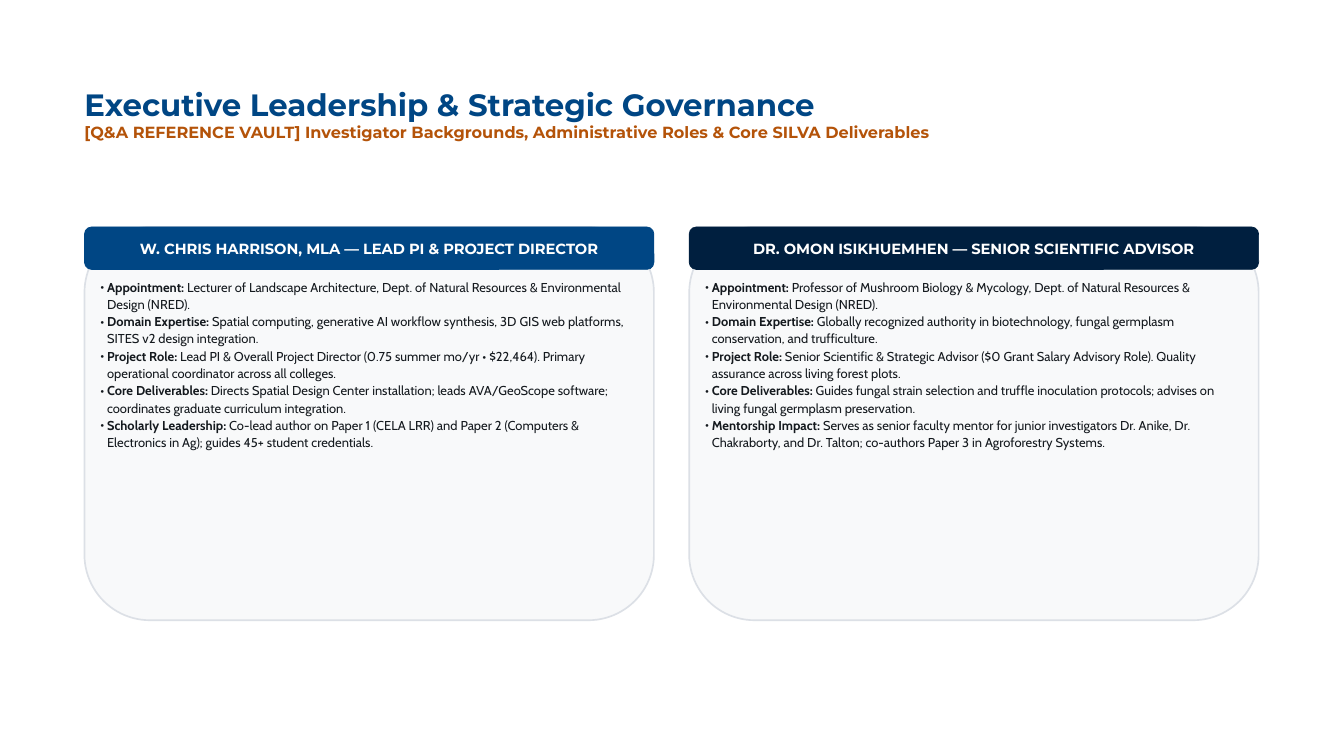
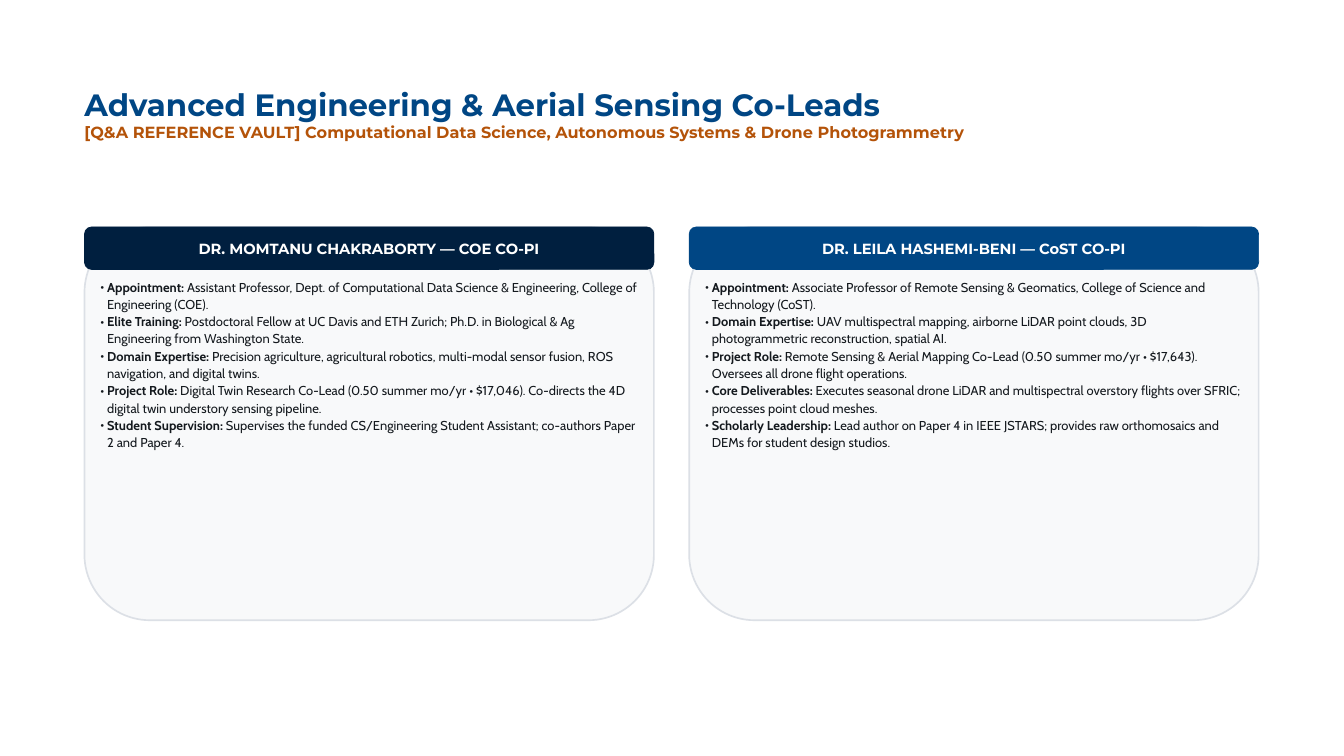
"""Build two reference slides that profile the project investigators."""
from lxml import etree
from pptx import Presentation
from pptx.dml.color import RGBColor
from pptx.enum.shapes import MSO_SHAPE as Shape
from pptx.enum.text import MSO_ANCHOR as Anchor, PP_ALIGN as Align
from pptx.oxml.ns import qn
from pptx.util import Cm, Pt

COLORS = {
    "blue": "004684",
    "navy": "001F3F",
    "rust": "B45309",
    "card": "F8F9FA",
    "border": "DCE0E6",
    "ink": "14191E",
    "white": "FFFFFF",
}
HEADING_FONT, BODY_FONT = "Montserrat", "Cabin"

SLIDES = [
    {
        "title": "Executive Leadership & Strategic Governance",
        "subtitle": "[Q&A REFERENCE VAULT] Investigator Backgrounds, Administrative Roles & Core SILVA Deliverables",
        "profiles": [
            ("W. CHRIS HARRISON, MLA — LEAD PI & PROJECT DIRECTOR", "blue", [
                ("Appointment:", "Lecturer of Landscape Architecture, Dept. of Natural Resources & Environmental Design (NRED)."),
                ("Domain Expertise:", "Spatial computing, generative AI workflow synthesis, 3D GIS web platforms, SITES v2 design integration."),
                ("Project Role:", "Lead PI & Overall Project Director (0.75 summer mo/yr • $22,464). Primary operational coordinator across all colleges."),
                ("Core Deliverables:", "Directs Spatial Design Center installation; leads AVA/GeoScope software; coordinates graduate curriculum integration."),
                ("Scholarly Leadership:", "Co-lead author on Paper 1 (CELA LRR) and Paper 2 (Computers & Electronics in Ag); guides 45+ student credentials."),
            ]),
            ("DR. OMON ISIKHUEMHEN — SENIOR SCIENTIFIC ADVISOR", "navy", [
                ("Appointment:", "Professor of Mushroom Biology & Mycology, Dept. of Natural Resources & Environmental Design (NRED)."),
                ("Domain Expertise:", "Globally recognized authority in biotechnology, fungal germplasm conservation, and trufficulture."),
                ("Project Role:", "Senior Scientific & Strategic Advisor ($0 Grant Salary Advisory Role). Quality assurance across living forest plots."),
                ("Core Deliverables:", "Guides fungal strain selection and truffle inoculation protocols; advises on living fungal germplasm preservation."),
                ("Mentorship Impact:", "Serves as senior faculty mentor for junior investigators Dr. Anike, Dr. Chakraborty, and Dr. Talton; co-authors Paper 3 in Agroforestry Systems."),
            ]),
        ],
    },
    {
        "title": "Advanced Engineering & Aerial Sensing Co-Leads",
        "subtitle": "[Q&A REFERENCE VAULT] Computational Data Science, Autonomous Systems & Drone Photogrammetry",
        "profiles": [
            ("DR. MOMTANU CHAKRABORTY — COE CO-PI", "navy", [
                ("Appointment:", "Assistant Professor, Dept. of Computational Data Science & Engineering, College of Engineering (COE)."),
                ("Elite Training:", "Postdoctoral Fellow at UC Davis and ETH Zurich; Ph.D. in Biological & Ag Engineering from Washington State."),
                ("Domain Expertise:", "Precision agriculture, agricultural robotics, multi-modal sensor fusion, ROS navigation, and digital twins."),
                ("Project Role:", "Digital Twin Research Co-Lead (0.50 summer mo/yr • $17,046). Co-directs the 4D digital twin understory sensing pipeline."),
                ("Student Supervision:", "Supervises the funded CS/Engineering Student Assistant; co-authors Paper 2 and Paper 4."),
            ]),
            ("DR. LEILA HASHEMI-BENI — CoST CO-PI", "blue", [
                ("Appointment:", "Associate Professor of Remote Sensing & Geomatics, College of Science and Technology (CoST)."),
                ("Domain Expertise:", "UAV multispectral mapping, airborne LiDAR point clouds, 3D photogrammetric reconstruction, spatial AI."),
                ("Project Role:", "Remote Sensing & Aerial Mapping Co-Lead (0.50 summer mo/yr • $17,643). Oversees all drone flight operations."),
                ("Core Deliverables:", "Executes seasonal drone LiDAR and multispectral overstory flights over SFRIC; processes point cloud meshes."),
                ("Scholarly Leadership:", "Lead author on Paper 4 in IEEE JSTARS; provides raw orthomosaics and DEMs for student design studios."),
            ]),
        ],
    },
]

MARGIN, CONTENT_WIDTH = 2.13, 29.59
TITLE_TOP, TITLE_HEIGHT = 2.16, 2.92
CARD_TOP, CARD_WIDTH, CARD_HEIGHT = 5.72, 14.35, 9.91
CARD_PITCH = CONTENT_WIDTH - CARD_WIDTH
BAND_HEIGHT, CARD_PADDING = 1.07, 0.4
BODY_TOP, BODY_HEIGHT = 6.99, 8.48
BULLET_INDENT = 0.17


def rgb(color):
    return RGBColor.from_string(COLORS[color])


def add_text(paragraph, text, *, size, color, font=HEADING_FONT, bold=True):
    run = paragraph.add_run()
    run.text = text
    run.font.name, run.font.size, run.font.bold = font, Pt(size), bold
    run.font.color.rgb = rgb(color)


def add_frame(slide, left, top, width, height):
    frame = slide.shapes.add_textbox(Cm(left), Cm(top), Cm(width), Cm(height)).text_frame
    frame.word_wrap = True
    frame.margin_left = frame.margin_right = frame.margin_top = frame.margin_bottom = 0
    return frame


def add_panel(slide, left, height, fill, border, border_width):
    panel = slide.shapes.add_shape(
        Shape.ROUNDED_RECTANGLE, Cm(left), Cm(CARD_TOP), Cm(CARD_WIDTH), Cm(height))
    panel.shadow.inherit = False
    panel.fill.solid()
    panel.fill.fore_color.rgb = rgb(fill)
    panel.line.color.rgb = rgb(border)
    panel.line.width = Pt(border_width)
    return panel


def next_paragraph(frame, index):
    return frame.add_paragraph() if index else frame.paragraphs[0]


def add_bullet(paragraph):
    properties = paragraph._p.get_or_add_pPr()
    properties.set("marL", str(Cm(BULLET_INDENT)))
    properties.set("indent", str(-Cm(BULLET_INDENT)))
    etree.SubElement(properties, qn("a:buFont")).set("typeface", BODY_FONT)
    etree.SubElement(properties, qn("a:buChar")).set("char", "•")


def add_heading(slide, title, subtitle):
    frame = add_frame(slide, MARGIN, TITLE_TOP, CONTENT_WIDTH, TITLE_HEIGHT)
    for index, (text, size, color) in enumerate([(title, 22, "blue"), (subtitle, 11.5, "rust")]):
        add_text(next_paragraph(frame, index), text, size=size, color=color)


def add_profile(slide, left, name, accent, facts):
    add_panel(slide, left, CARD_HEIGHT, "card", "border", 1.2)
    band = add_panel(slide, left, BAND_HEIGHT, accent, accent, 0.5).text_frame
    band.word_wrap = True
    band.vertical_anchor = Anchor.MIDDLE
    band.paragraphs[0].alignment = Align.CENTER
    add_text(band.paragraphs[0], name, size=10.5, color="white")

    body = add_frame(slide, left + CARD_PADDING, BODY_TOP, CARD_WIDTH - 2 * CARD_PADDING, BODY_HEIGHT)
    for index, (label, detail) in enumerate(facts):
        paragraph = next_paragraph(body, index)
        add_bullet(paragraph)
        paragraph.line_spacing = 1.12
        add_text(paragraph, label, size=9.2, color="ink", font=BODY_FONT)
        add_text(paragraph, f" {detail}", size=9.2, color="ink", font=BODY_FONT, bold=False)


def main():
    deck = Presentation()
    deck.slide_width, deck.slide_height = Cm(33.87), Cm(19.05)
    for content in SLIDES:
        slide = deck.slides.add_slide(deck.slide_layouts[6])
        add_heading(slide, content["title"], content["subtitle"])
        for column, profile in enumerate(content["profiles"]):
            add_profile(slide, MARGIN + column * CARD_PITCH, *profile)
    deck.save("out.pptx")


if __name__ == "__main__":
    main()
